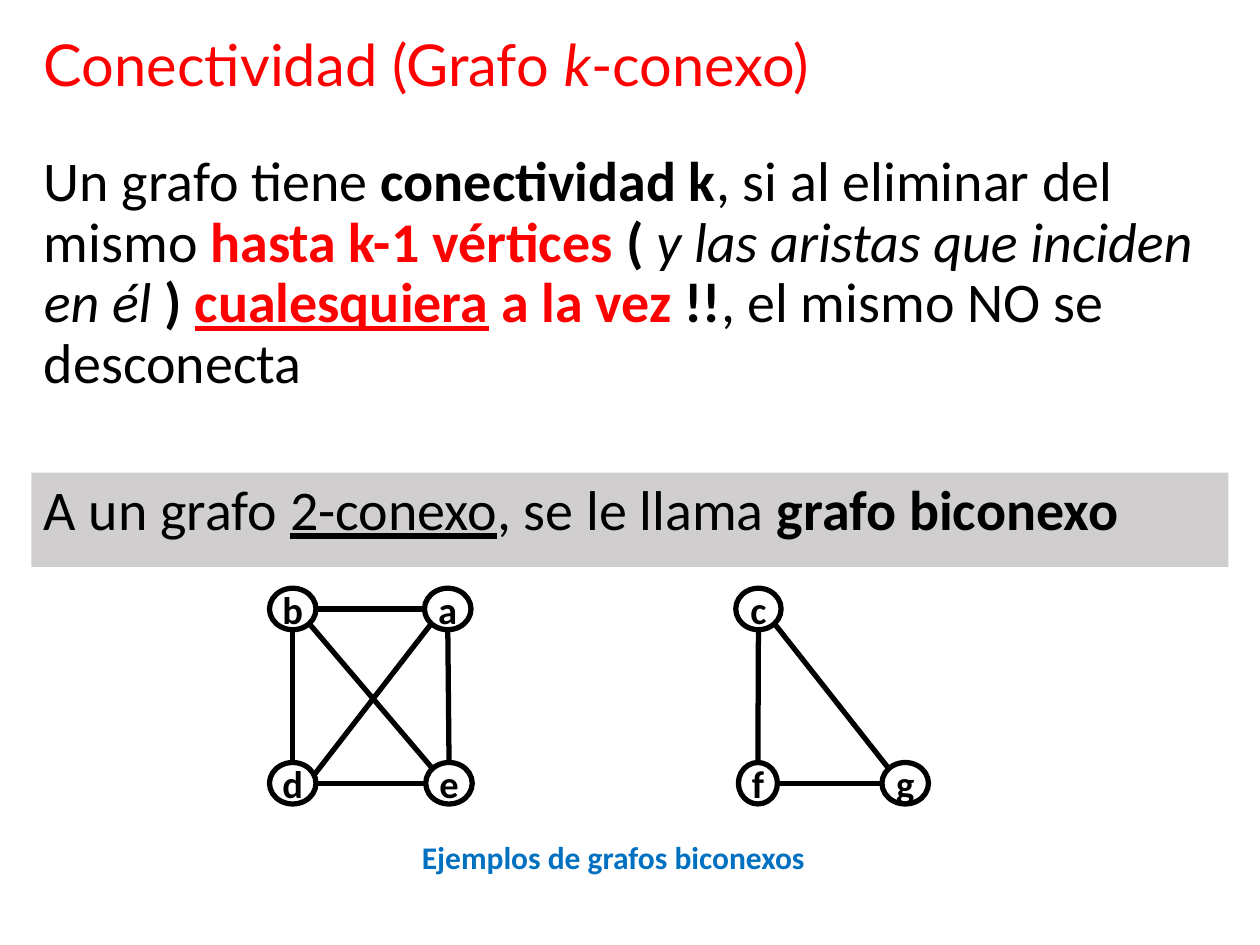
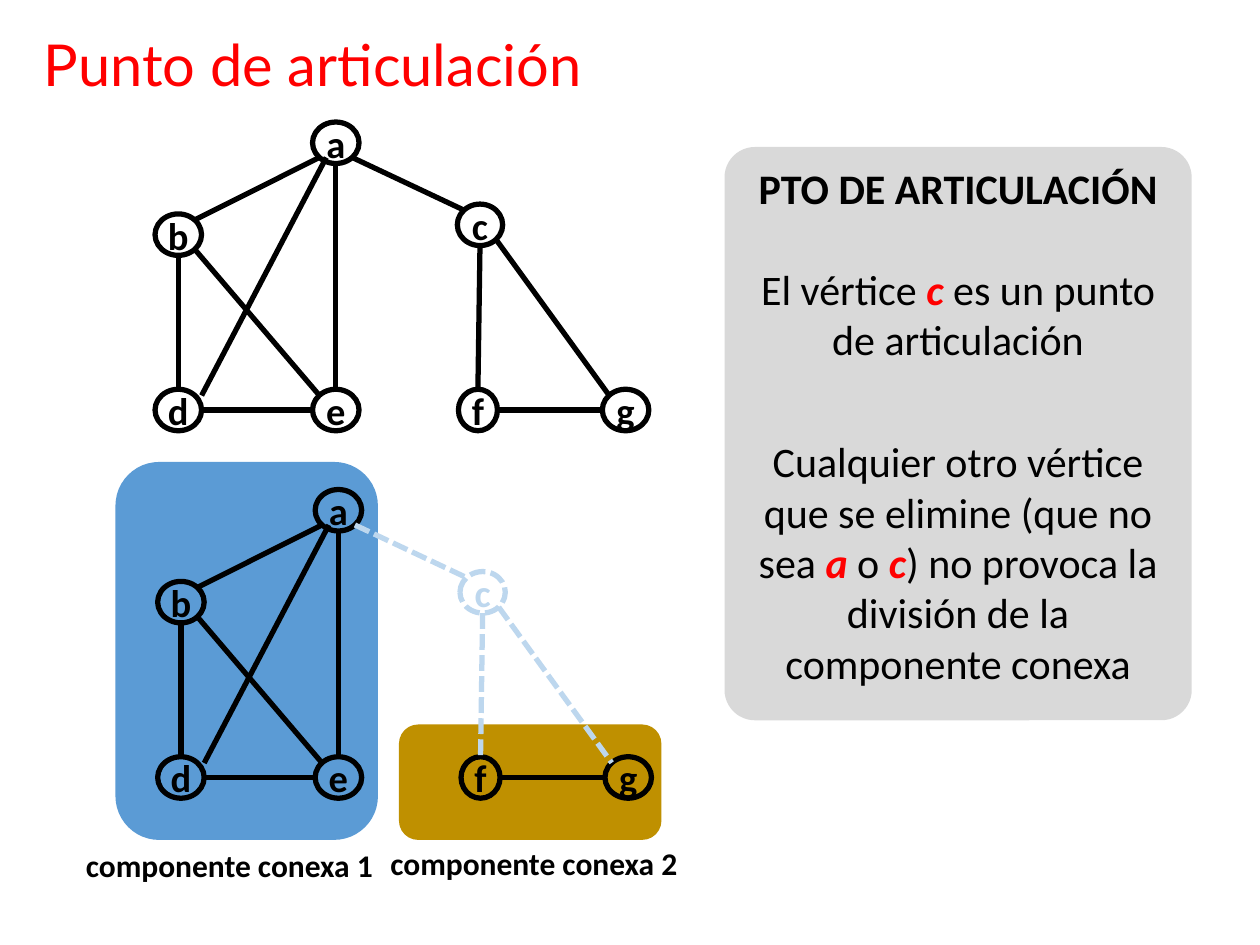
from dataclasses import dataclass

from lxml import etree
from pptx import Presentation
from pptx.dml.color import RGBColor
from pptx.enum.dml import MSO_LINE
from pptx.enum.shapes import MSO_CONNECTOR, MSO_SHAPE
from pptx.enum.text import MSO_ANCHOR, MSO_AUTO_SIZE, PP_ALIGN
from pptx.oxml.ns import qn
from pptx.util import Pt

STRAIGHT = MSO_CONNECTOR.STRAIGHT
OVAL, RECT, ROUND_RECT = MSO_SHAPE.OVAL, MSO_SHAPE.RECTANGLE, MSO_SHAPE.ROUNDED_RECTANGLE
DASHED = MSO_LINE.SQUARE_DOT
LEFT, CENTER = PP_ALIGN.LEFT, PP_ALIGN.CENTER
TOP, MIDDLE = MSO_ANCHOR.TOP, MSO_ANCHOR.MIDDLE
GROW = MSO_AUTO_SIZE.SHAPE_TO_FIT_TEXT
BLANK = 6


@dataclass(frozen=True)
class Theme:
    """Colours, fonts and type sizes of the whole presentation."""
    ink: str = "000000"
    accent: str = "FF0000"
    caption: str = "0070C0"
    faded: str = "BDD7EE"
    band: str = "D0CECE"
    panel: str = "D9D9D9"
    component_1: str = "5B9BD5"
    component_2: str = "BF9000"
    title_font: str = "Lato"
    font: str = "Calibri"
    title_size: float = 33
    body_size: float = 32
    panel_size: float = 24
    vertex_size: float = 22
    caption_size: float = 18
    line_width: float = 3


THEME = Theme()


@dataclass(frozen=True)
class Run:
    """A stretch of text that departs from the format around it."""
    text: str
    bold: bool = False
    italic: bool = False
    underline: bool = False
    color: str = ""


# Where an edge meets its vertex, in half widths and half heights from the centre
SITES = {
    "N": (0, -1), "S": (0, 1), "E": (1, 0), "W": (-1, 0),
    "NW": (-0.71, -0.71), "SW": (-0.71, 0.71), "NE": (0.71, -0.71), "SE": (0.71, 0.71),
    "ENE": (0.95, -0.45), "SSW": (-0.41, 0.71), "corner": (1, -0.7),
}
VERTEX_HEIGHT = 23.7
VERTEX_WIDTH = 26.6
NARROW = {"c": 25.9, "f": 22.3}

SQUARE = {"a": (255.9, 348), "b": (167.3, 348), "d": (167.3, 447.6), "e": (256.6, 447.6)}
SQUARE_EDGES = ["b S d N", "a S e N", "d E e W", "b E a W", "d ENE a SW", "b SE e NW"]
TRIANGLE = {"c": (433.4, 348), "f": (433.1, 447.6), "g": (517.3, 447.6)}
TRIANGLE_EDGES = ["c S f N", "f E g W", "c SE g NW"]
JOINED = {
    "a": (191.9, 81.6), "b": (101.9, 134.1), "c": (274.3, 128.5),
    "d": (101.9, 234.3), "e": (191.9, 234.3), "f": (273.1, 234.3), "g": (357.5, 234.3),
}
JOINED_EDGES = [
    "b S d N", "a S e N", "d E e W", "b NE a SW", "d corner a SSW", "b SE e NW", "a SE c NW",
] + TRIANGLE_EDGES


def rgb(color):
    """Turn a theme colour into an RGBColor."""
    return RGBColor.from_string(color)


def write_text(frame, paragraphs, *, size, font=THEME.font, color=THEME.ink, bold=False,
               align=LEFT, anchor=TOP, wrap=True, grow=False, line_spacing=1.0):
    """Fill a frame with (space before, runs) paragraphs."""
    frame.word_wrap = wrap
    frame.vertical_anchor = anchor
    if grow:
        frame.auto_size = GROW
    for index, (space_before, runs) in enumerate(paragraphs):
        paragraph = frame.add_paragraph() if index else frame.paragraphs[0]
        paragraph.alignment = align
        paragraph.line_spacing = line_spacing
        paragraph.space_before = Pt(space_before)
        for piece in runs:
            if isinstance(piece, str):
                piece = Run(piece, bold=bold)
            run = paragraph.add_run()
            run.text = piece.text
            run.font.name = font
            run.font.size = Pt(size)
            run.font.bold = piece.bold
            run.font.italic = piece.italic
            run.font.underline = piece.underline
            run.font.color.rgb = rgb(piece.color or color)


def add_text(slide, left, top, width, height, paragraphs, **text_format):
    """Add a text box."""
    box = slide.shapes.add_textbox(Pt(left), Pt(top), Pt(width), Pt(height))
    write_text(box.text_frame, paragraphs, **text_format)


def add_title(slide, *runs):
    """Add the title shared by all slides."""
    add_text(slide, 18, 12, 684, 54, [(0, runs)], size=THEME.title_size,
             font=THEME.title_font, color=THEME.accent, anchor=MIDDLE, line_spacing=0.9)


def add_block(slide, kind, left, top, width, height, color):
    """Add a plain filled area and return it."""
    block = slide.shapes.add_shape(kind, Pt(left), Pt(top), Pt(width), Pt(height))
    block.shadow.inherit = False
    block.fill.solid()
    block.fill.fore_color.rgb = rgb(color)
    block.line.fill.background()
    return block


def style_line(line, faded):
    """Draw a graph line solid, or dashed and pale when faded."""
    line.color.rgb = rgb(THEME.faded if faded else THEME.ink)
    line.width = Pt(THEME.line_width)
    if faded:
        line.dash_style = DASHED


def add_vertex(group, label, center, faded):
    """Add a labelled ring around its centre."""
    width = NARROW.get(label, VERTEX_WIDTH)
    x, y = center
    ring = group.shapes.add_shape(OVAL, Pt(x - width / 2), Pt(y - VERTEX_HEIGHT / 2),
                                  Pt(width), Pt(VERTEX_HEIGHT))
    ring.shadow.inherit = False
    ring.fill.background()
    style_line(ring.line, faded)
    write_text(ring.text_frame, [(0, [label])], size=THEME.vertex_size, bold=True,
               color=THEME.faded if faded else THEME.ink,
               align=CENTER, anchor=MIDDLE, wrap=False)


def edge_end(label, center, site):
    """Return the point where an edge meets a vertex."""
    across, down = SITES[site]
    return (Pt(center[0] + across * NARROW.get(label, VERTEX_WIDTH) / 2),
            Pt(center[1] + down * VERTEX_HEIGHT / 2))


def add_edge(group, start, end, faded):
    """Add a straight edge between two points."""
    edge = group.shapes.add_connector(STRAIGHT, *start, *end)
    style_line(edge.line, faded)
    etree.SubElement(edge._element.spPr, qn("a:effectLst"))


def add_graph(slide, vertices, edges, shift=(0, 0), removed=""):
    """Add a grouped graph; the removed vertex and its edges are faded."""
    group = slide.shapes.add_group_shape()
    centers = {label: (x + shift[0], y + shift[1]) for label, (x, y) in vertices.items()}
    for label, center in centers.items():
        add_vertex(group, label, center, label == removed)
    for edge in edges:
        first, first_site, last, last_site = edge.split()
        add_edge(group, edge_end(first, centers[first], first_site),
                 edge_end(last, centers[last], last_site), removed in (first, last))


def build_connectivity(slide):
    """Define k-connectivity and show two biconnected graphs."""
    add_block(slide, RECT, 18, 270, 684, 54, THEME.band)
    add_title(slide, "Conectividad (Grafo ", Run("k", italic=True), "-conexo)")
    definition = [
        "Un grafo tiene ", Run("conectividad k", bold=True), ", si al eliminar del mismo ",
        Run("hasta k-1 vértices ", bold=True, color=THEME.accent), Run("( ", bold=True),
        Run("y las aristas que inciden en él ", italic=True), Run(") ", bold=True),
        Run("cualesquiera", bold=True, underline=True, color=THEME.accent),
        Run(" a la vez ", bold=True, color=THEME.accent), Run("!!", bold=True),
        ", el mismo NO se desconecta",
    ]
    biconnected = ["A un grafo ", Run("2-conexo", underline=True), ", se le llama ",
                   Run("grafo biconexo", bold=True)]
    add_text(slide, 18, 84, 684, 402.5, [(7.5, definition), (49.5, biconnected)],
             size=THEME.body_size, line_spacing=0.9)
    add_graph(slide, SQUARE, SQUARE_EDGES)
    add_graph(slide, TRIANGLE, TRIANGLE_EDGES)
    add_text(slide, 234, 475.2, 234.7, 29, [(0, ["Ejemplos de grafos biconexos"])],
             size=THEME.caption_size, color=THEME.caption, bold=True, wrap=False, grow=True)


def build_articulation(slide):
    """Show how removing vertex c splits a graph into two components."""
    add_block(slide, ROUND_RECT, 228, 414, 150, 66, THEME.component_2)
    add_block(slide, ROUND_RECT, 66, 264, 150, 216, THEME.component_1)
    add_graph(slide, JOINED, JOINED_EDGES)
    add_graph(slide, JOINED, JOINED_EDGES, shift=(1.5, 210), removed="c")
    for number, left, top in ((1, 42, 480), (2, 216, 478.5)):
        add_text(slide, left, top, 180, 29, [(0, [f"componente conexa {number}"])],
                 size=THEME.caption_size, bold=True, grow=True)
    panel = add_block(slide, ROUND_RECT, 414, 84, 267, 327.6, THEME.panel)
    panel.adjustments[0] = 0.065
    vertex_a, vertex_c = (Run(label, bold=True, italic=True, color=THEME.accent)
                          for label in "ac")
    write_text(panel.text_frame, [
        (0, [Run("PTO DE ARTICULACIÓN", bold=True)]),
        (29, ["El vértice ", vertex_c, " es un punto de articulación"]),
        (41, ["Cualquier otro vértice que se elimine (que no sea ", vertex_a, " o ", vertex_c,
              ") no provoca la división de la componente conexa"]),
    ], size=THEME.panel_size, align=CENTER)
    add_title(slide, "Punto de articulación")


def main():
    """Build and save the presentation."""
    deck = Presentation()
    deck.slide_width, deck.slide_height = Pt(720), Pt(540)
    for build in (build_connectivity, build_articulation):
        build(deck.slides.add_slide(deck.slide_layouts[BLANK]))
    deck.save("out.pptx")


main()
